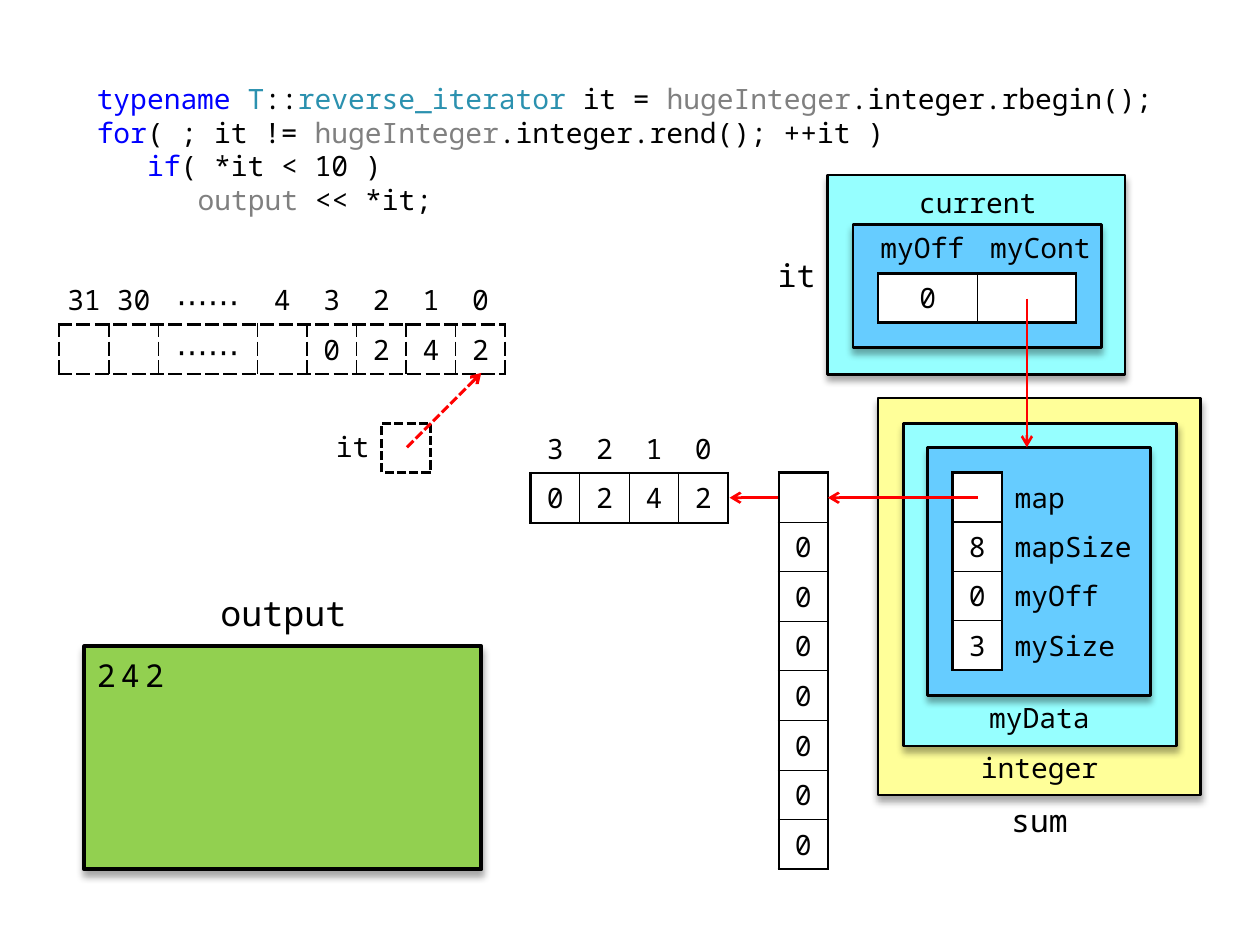
"""Build a slide on reverse iteration through the blocks of a huge integer."""
from dataclasses import dataclass

from lxml import etree
from pptx import Presentation, util as u
from pptx.dml.color import RGBColor
from pptx.enum import dml, shapes, text
from pptx.oxml.ns import qn

FONT = "Noto Sans Mono"
COLORS = {
    "black": "000000", "white": "FFFFFF", "red": "FF0000", "yellow": "FFFF99",
    "cyan": "96FFFF", "sky": "66CCFF", "green": "92D050",
    "keyword": "0000FF", "type": "2B91AF", "parameter": "808080",
}
NO_GRID_STYLE = "{2D5ABB26-0587-4C30-8999-92F81FD0307C}"
LEFT, CENTER, RIGHT = text.PP_ALIGN.LEFT, text.PP_ALIGN.CENTER, text.PP_ALIGN.RIGHT
TOP, MIDDLE, BOTTOM = text.MSO_ANCHOR.TOP, text.MSO_ANCHOR.MIDDLE, text.MSO_ANCHOR.BOTTOM
PROCESS, RECT = shapes.MSO_SHAPE.FLOWCHART_PROCESS, shapes.MSO_SHAPE.RECTANGLE


@dataclass
class Panel:
    at: tuple
    fill: str
    width: float = 1.5
    preset: int = PROCESS
    dashed: bool = False
    words: str = ""


@dataclass
class Label:
    words: str
    at: tuple
    size: int = 16
    align: int = CENTER
    anchor: int = TOP
    insets: tuple = (0.08, 0.05, 0.08, 0)


@dataclass
class Arrow:
    start: tuple
    end: tuple
    width: float = 1.5
    dashed: bool = False


@dataclass
class Grid:
    at: tuple
    weights: tuple
    rows: tuple
    first_framed_row: int = 0
    framed_columns: int = 8
    inner: float = 0.75
    dashed: bool = False


def rgb(name: str) -> RGBColor:
    return RGBColor.from_string(COLORS[name])


def inches(values: tuple) -> list:
    return [u.Inches(value) for value in values]


def apply(target, values: dict) -> None:
    for name, value in values.items():
        setattr(target, name, value)


def add_run(paragraph, words: str, size: int = 16, color: str = "black"):
    run = paragraph.add_run()
    run.text = words
    apply(run.font, {"name": FONT, "size": u.Pt(size)})
    run.font.color.rgb = rgb(color)
    return run


def set_frame(frame, insets: tuple, anchor: int) -> None:
    left, top, right, bottom = inches(insets)
    apply(frame, {"word_wrap": True, "vertical_anchor": anchor, "margin_left": left,
                  "margin_top": top, "margin_right": right, "margin_bottom": bottom})


def set_line(line, color: str, width: float, dashed: bool) -> None:
    line.color.rgb = rgb(color)
    line.width = u.Pt(width)
    if dashed:
        line.dash_style = dml.MSO_LINE.SQUARE_DOT


def draw_panel(slide, panel: Panel) -> None:
    shape = slide.shapes.add_shape(panel.preset, *inches(panel.at))
    shape.fill.solid()
    shape.fill.fore_color.rgb = rgb(panel.fill)
    set_line(shape.line, "black", panel.width, panel.dashed)
    shape.shadow.inherit = False
    if panel.preset == PROCESS:
        effects = shape._element.spPr.find(qn("a:effectLst"))
        shadow = etree.SubElement(effects, qn("a:outerShdw"), blurRad=str(u.Pt(4)),
                                  dist=str(u.Pt(3)), dir="5400000", rotWithShape="0")
        tint = etree.SubElement(shadow, qn("a:srgbClr"), val=COLORS["black"])
        etree.SubElement(tint, qn("a:alpha"), val="35000")
    if panel.words:
        set_frame(shape.text_frame, (0.1, 0.08, 0.1, 0.05), TOP)
        paragraph = shape.text_frame.paragraphs[0]
        paragraph.alignment = LEFT
        printed = add_run(paragraph, panel.words, 18)
        printed.font._element.set("spc", "300")


def draw_label(slide, label: Label) -> None:
    frame = slide.shapes.add_textbox(*inches(label.at)).text_frame
    set_frame(frame, label.insets, label.anchor)
    frame.paragraphs[0].alignment = label.align
    add_run(frame.paragraphs[0], label.words, label.size)


def draw_arrow(slide, arrow: Arrow) -> None:
    connector = slide.shapes.add_connector(
        shapes.MSO_CONNECTOR.STRAIGHT, *inches(arrow.start + arrow.end))
    set_line(connector.line, "red", arrow.width, arrow.dashed)
    etree.SubElement(connector.line._get_or_add_ln(), qn("a:tailEnd"), type="arrow")
    etree.SubElement(connector._element.spPr, qn("a:effectLst"))


def draw_border(cell, side: str, width: float, dashed: bool) -> None:
    edge = etree.SubElement(cell._tc.get_or_add_tcPr(), qn("a:ln" + side), w=str(u.Pt(width)))
    fill = etree.SubElement(edge, qn("a:solidFill"))
    etree.SubElement(fill, qn("a:srgbClr"), val=COLORS["black"])
    etree.SubElement(edge, qn("a:prstDash"), val="sysDash" if dashed else "solid")


def draw_grid(slide, grid: Grid) -> None:
    row_count, column_count = len(grid.rows), len(grid.weights)
    table = slide.shapes.add_table(row_count, column_count, *inches(grid.at)).table
    apply(table, {"first_row": False, "horz_banding": False})
    table._tbl.tblPr.find(qn("a:tableStyleId")).text = NO_GRID_STYLE
    for column, weight in zip(table.columns, grid.weights):
        column.width = u.Inches(grid.at[2] * weight / sum(grid.weights))
    last_column = min(grid.framed_columns, column_count) - 1
    for r, row in enumerate(grid.rows):
        table.rows[r].height = u.Inches(grid.at[3] / row_count)
        for c, words in enumerate(row):
            cell = table.cell(r, c)
            is_label = c > last_column
            side = u.Inches(0.1 if is_label else 0.04)
            apply(cell, {"vertical_anchor": MIDDLE, "margin_left": side, "margin_right": side,
                         "margin_top": u.Inches(0.04), "margin_bottom": u.Inches(0.04)})
            if r >= grid.first_framed_row and not is_label:
                outer = {"L": c == 0, "R": c == last_column,
                         "T": r == grid.first_framed_row, "B": r == row_count - 1}
                for edge, is_outer in outer.items():
                    draw_border(cell, edge, 1.5 if is_outer else grid.inner, grid.dashed)
                cell.fill.solid()
                cell.fill.fore_color.rgb = rgb("white")
            else:
                cell.fill.background()
            if words:
                paragraph = cell.text_frame.paragraphs[0]
                paragraph.alignment = LEFT if is_label else CENTER
                add_run(paragraph, words, 18 if "⋯" in words else 16)


def draw_code(slide, at: tuple, lines: tuple) -> None:
    frame = slide.shapes.add_textbox(*inches(at)).text_frame
    set_frame(frame, (0.1, 0.05, 0.1, 0.05), TOP)
    for number, (indent, pieces) in enumerate(lines):
        paragraph = frame.add_paragraph() if number else frame.paragraphs[0]
        paragraph.line_spacing = u.Pt(19.2)
        paragraph._p.get_or_add_pPr().set("marL", str(u.Inches(indent)))
        for words, color in pieces:
            add_run(paragraph, words, color=color)


CODE = (
    (0, (("typename ", "keyword"), ("T", "type"), ("::", "black"),
         ("reverse_iterator ", "type"), ("it = ", "black"),
         ("hugeInteger", "parameter"), (".integer.rbegin();", "black"))),
    (0, (("for", "keyword"), ("( ; it != ", "black"), ("hugeInteger", "parameter"),
         (".integer.rend(); ++it )", "black"))),
    (0.4, (("if", "keyword"), ("( *it < 10 )", "black"))),
    (0.8, (("output ", "parameter"), ("<< *it;", "black"))),
)
DIAGRAM = (
    Grid((0.47, 2.18, 3.54, 0.79), (1, 1, 2, 1, 1, 1, 1, 1),
         (("31", "30", "⋯⋯", "4", "3", "2", "1", "0"),
          ("", "", "⋯⋯", "", "0", "2", "4", "2")), 1, inner=1, dashed=True),
    Label("it", (5.98, 1.98, 0.59, 0.39), 18, RIGHT, BOTTOM, (0.1, 0.05, 0.1, 0.04)),
    Panel((3.03, 3.36, 0.39, 0.39), "white", 1.75, RECT, True),
    Label("it", (2.44, 3.36, 0.59, 0.39), align=RIGHT, insets=(0.1, 0.05, 0.1, 0.05)),
    Arrow((3.23, 3.55), (3.82, 2.96), 1.75, True),
    Label("current", (7.17, 1.39, 1.18, 0.39), anchor=MIDDLE, insets=(0.08, 0.04, 0.08, 0)),
    Panel((0.67, 5.13, 3.15, 1.77), "green", 2.25, words="242"),
    Label("output", (1.46, 4.54, 1.58, 0.59), 20, anchor=MIDDLE),
    Arrow((6.38, 3.95), (5.79, 3.95)),
    Label("sum", (7.76, 6.31, 0.98, 0.39), 18),
    Grid((6.18, 3.75, 0.39, 3.15), (1,), (("",),) + (("0",),) * 7),
    Panel((7.17, 3.36, 2.17, 2.56), "cyan"),
    Panel((7.36, 3.55, 1.77, 1.97), "sky"),
    Label("myData", (7.76, 5.52, 0.98, 0.39), insets=(0.08, 0.04, 0.08, 0)),
    Grid((7.56, 3.75, 1.57, 1.57), (1, 3),
         (("", "map"), ("8", "mapSize"), ("0", "myOff"), ("3", "mySize")),
         framed_columns=1, inner=1),
    Arrow((7.76, 3.95), (6.57, 3.95)),
    Grid((4.21, 3.36, 1.57, 0.79), (1,) * 4, (tuple("3210"), tuple("0242")), 1),
    Panel((6.77, 1.78, 1.97, 0.98), "sky"),
    Grid((6.97, 2.17, 1.57, 0.39), (1, 1), (("0", ""),)),
    Label("myCont", (7.76, 1.78, 0.98, 0.39), align=LEFT, insets=(0.1, 0.05, 0.04, 0.05)),
    Label("myOff", (6.77, 1.78, 0.98, 0.39), align=RIGHT, insets=(0.1, 0.05, 0.1, 0.05)),
    Arrow((8.15, 2.37), (8.15, 3.55)),
    Label("integer", (7.56, 5.92, 1.38, 0.39), insets=(0.08, 0.04, 0.08, 0)),
)
PAINTERS = {Panel: draw_panel, Label: draw_label, Arrow: draw_arrow, Grid: draw_grid}


def main() -> None:
    deck = Presentation()
    apply(deck, {"slide_width": u.Inches(10), "slide_height": u.Inches(7.5)})
    slide = deck.slides.add_slide(deck.slide_layouts[6])
    draw_panel(slide, Panel((6.97, 3.16, 2.56, 3.15), "yellow"))
    draw_panel(slide, Panel((6.57, 1.39, 2.36, 1.58), "cyan"))
    draw_code(slide, (0.67, 0.6, 8.66, 1.18), CODE)
    for part in DIAGRAM:
        PAINTERS[type(part)](slide, part)
    deck.save("out.pptx")


if __name__ == "__main__":
    main()
